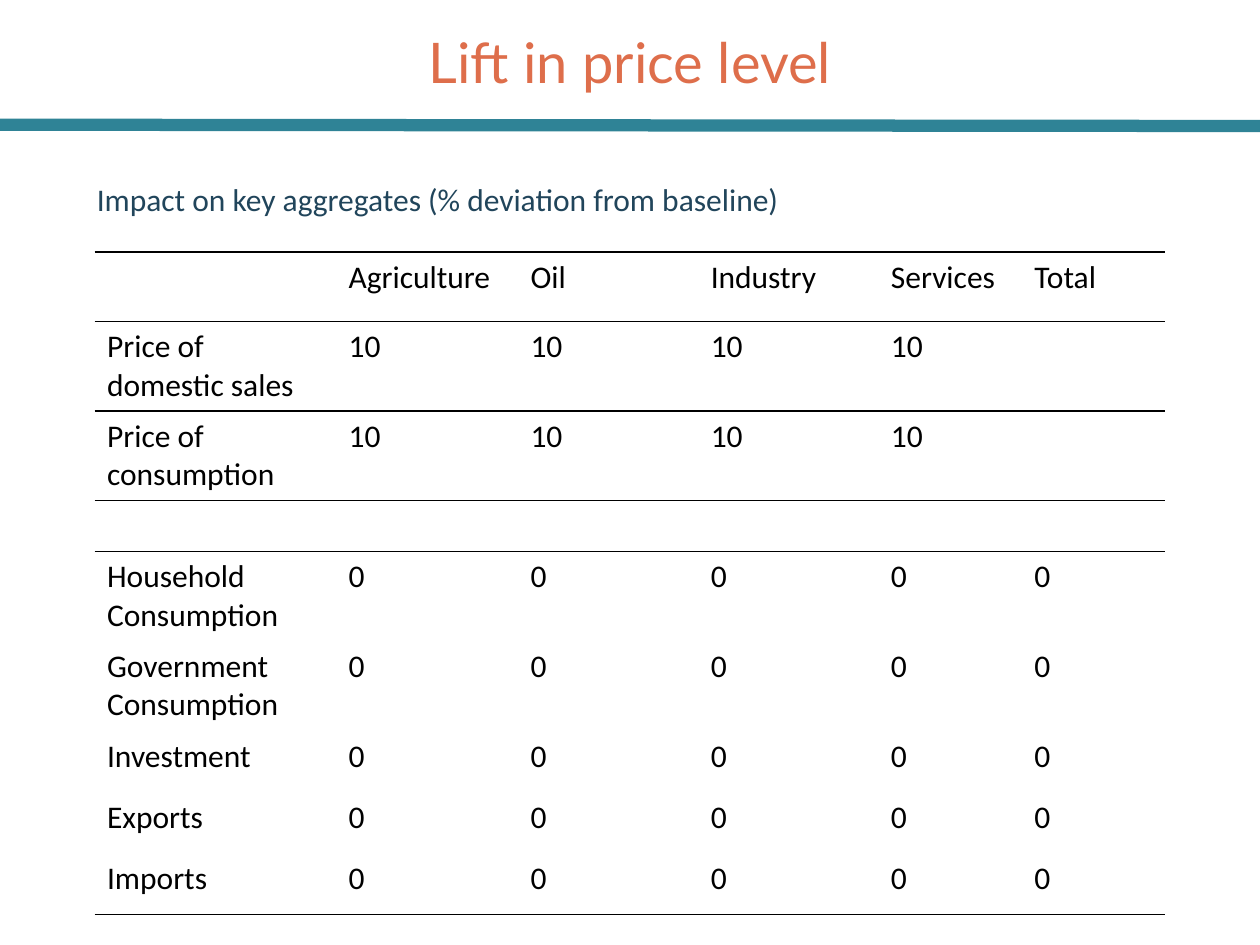
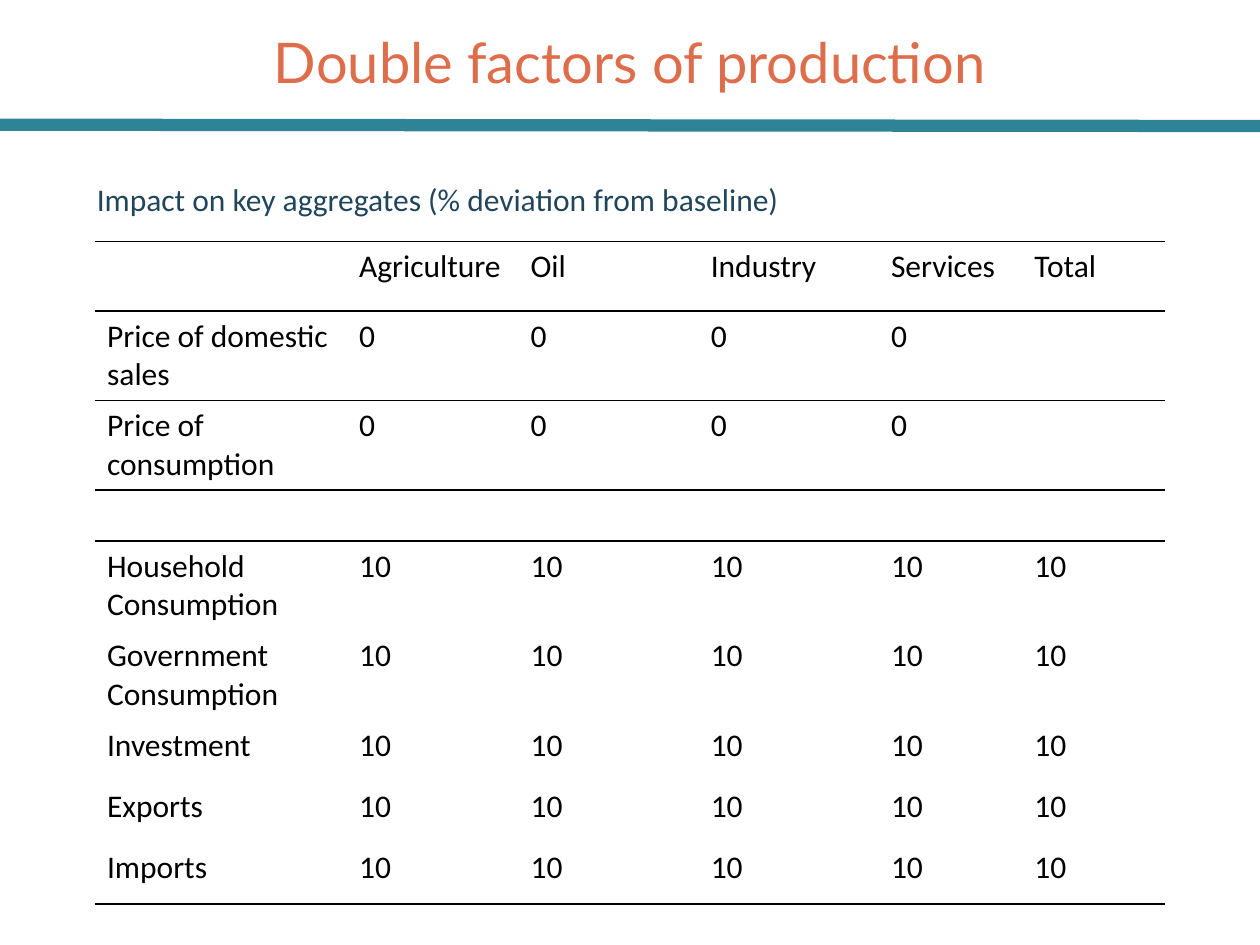
from lxml.etree import SubElement
from pptx import Presentation
from pptx.dml.color import RGBColor
from pptx.enum.shapes import MSO_CONNECTOR
from pptx.enum.text import MSO_ANCHOR, PP_ALIGN
from pptx.oxml.ns import qn
from pptx.util import Pt

WIDTH, HEIGHT = 720, 540
TITLE_COLOR, BAND_COLOR, CAPTION_COLOR, INK = "DE6E4B", "2F8396", "21455B", "000000"
TITLE_FONT, BODY_FONT = "Lato", "Calibri"
BODY_SIZE = 18
NO_STYLE = "{2D5ABB26-0587-4C30-8999-92F81FD0307C}"

CAPTION = "Impact on key aggregates (% deviation from baseline)"
SECTORS = ["Agriculture", "Oil", "Industry", "Services"]
PRICES = ["Price of domestic sales", "Price of consumption"]
QUANTITIES = ["Household Consumption", "Government Consumption",
              "Investment", "Exports", "Imports"]
ROW_HEIGHTS = [39.6, 51.2, 51.2, 29.2, 51.2, 51.2, 35, 35, 35]
RULED_EDGES = {0, 1, 2, 3, 4, len(ROW_HEIGHTS)}


def rgb(color):
    return RGBColor.from_string(color)


def style_text(text_frame, font_name, size, color):
    for paragraph in text_frame.paragraphs:
        for run in paragraph.runs:
            run.font.name = font_name
            run.font.size = Pt(size)
            run.font.color.rgb = rgb(color)


def add_text(slide, box, text, font_name, size, color):
    text_frame = slide.shapes.add_textbox(*map(Pt, box)).text_frame
    text_frame.word_wrap = True
    text_frame.text = text
    style_text(text_frame, font_name, size, color)
    return text_frame


def add_header(slide, title):
    text_frame = add_text(slide, (36, 12.24, 648, 45.36), title,
                          TITLE_FONT, 32, TITLE_COLOR)
    text_frame.vertical_anchor = MSO_ANCHOR.MIDDLE
    text_frame.paragraphs[0].alignment = PP_ALIGN.CENTER
    band = slide.shapes.add_connector(
        MSO_CONNECTOR.STRAIGHT, Pt(0), Pt(71.28), Pt(WIDTH), Pt(72))
    band.line.color.rgb = rgb(BAND_COLOR)
    band.line.width = Pt(7)
    SubElement(band._element.spPr, qn("a:effectLst"))


def set_border(cell, edge, visible):
    line = SubElement(cell._tc.get_or_add_tcPr(), qn(f"a:{edge}"), w=str(Pt(1)))
    if visible:
        fill = SubElement(line, qn("a:solidFill"))
        SubElement(fill, qn("a:srgbClr"), val=INK)
    else:
        SubElement(line, qn("a:noFill"))


def impact_rows(price_change, quantity_change):
    columns = len(SECTORS) + 2
    yield ["", *SECTORS, "Total"]
    for label in PRICES:
        yield [label] + [price_change] * len(SECTORS) + [""]
    yield [""] * columns
    for label in QUANTITIES:
        yield [label] + [quantity_change] * (columns - 1)


def add_impact_table(slide, left, top, column_widths, rows):
    frame = slide.shapes.add_table(
        len(ROW_HEIGHTS), len(column_widths), Pt(left), Pt(top),
        Pt(sum(column_widths)), Pt(sum(ROW_HEIGHTS)))
    table = frame.table
    table.first_row = table.horz_banding = False
    table._tbl.tblPr.find(qn("a:tableStyleId")).text = NO_STYLE
    for column, width in zip(table.columns, column_widths):
        column.width = Pt(width)
    for index, (row, height, values) in enumerate(zip(table.rows, ROW_HEIGHTS, rows)):
        row.height = Pt(height)
        for cell, value in zip(row.cells, values):
            cell.text = value
            style_text(cell.text_frame, BODY_FONT, BODY_SIZE, INK)
            set_border(cell, "lnL", False)
            set_border(cell, "lnR", False)
            set_border(cell, "lnT", index in RULED_EDGES)
            set_border(cell, "lnB", index + 1 in RULED_EDGES)
            cell.fill.background()


def add_impact_slide(presentation, title, table_top, label_width,
                     price_change, quantity_change):
    slide = presentation.slides.add_slide(presentation.slide_layouts[6])
    add_header(slide, title)
    column_widths = [label_width, 242 - label_width, 103, 103, 82, 82]
    add_impact_table(slide, 54, table_top, column_widths,
                     impact_rows(price_change, quantity_change))
    add_text(slide, (48.24, 99.36, 516.24, 28.8), CAPTION,
             BODY_FONT, BODY_SIZE, CAPTION_COLOR)


def main():
    presentation = Presentation()
    presentation.slide_width = Pt(WIDTH)
    presentation.slide_height = Pt(HEIGHT)
    add_impact_slide(presentation, "Lift in price level", 144, 138, "10", "0")
    add_impact_slide(presentation, "Double factors of production", 138, 144, "0", "10")
    presentation.save("out.pptx")


if __name__ == "__main__":
    main()
